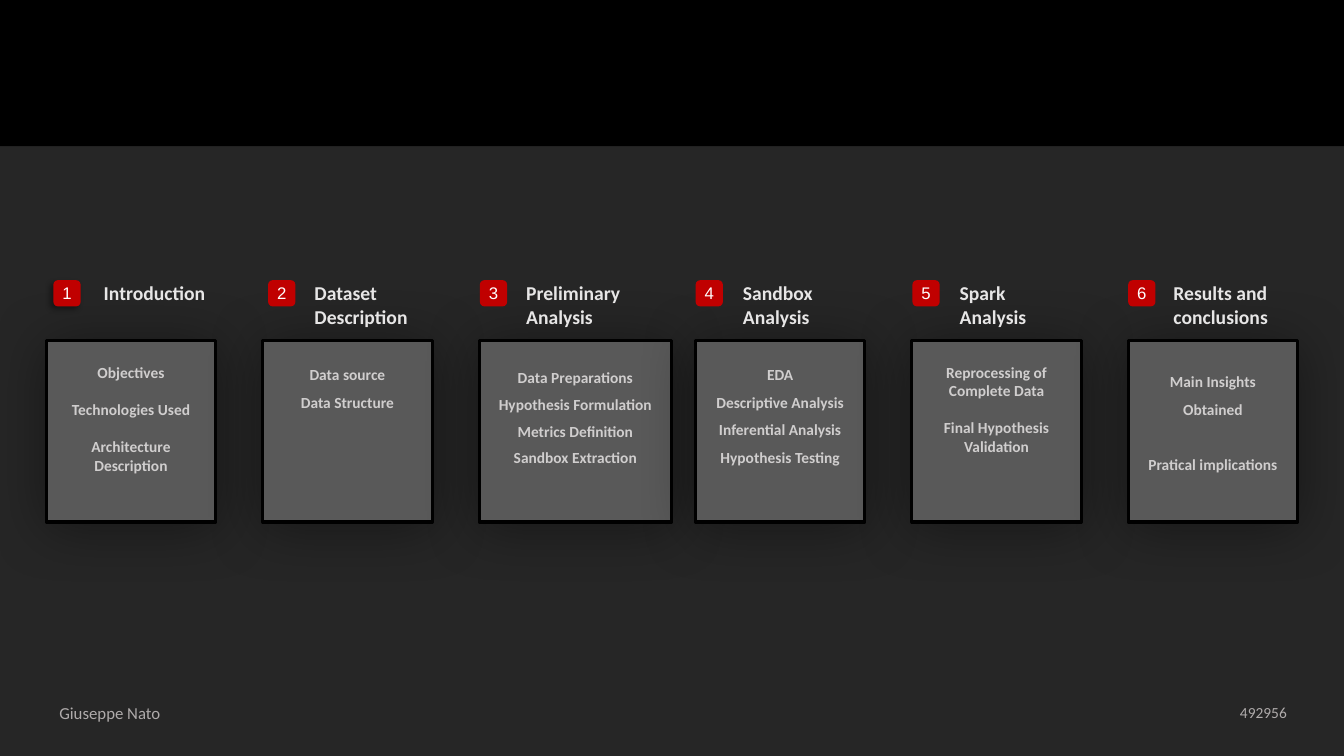
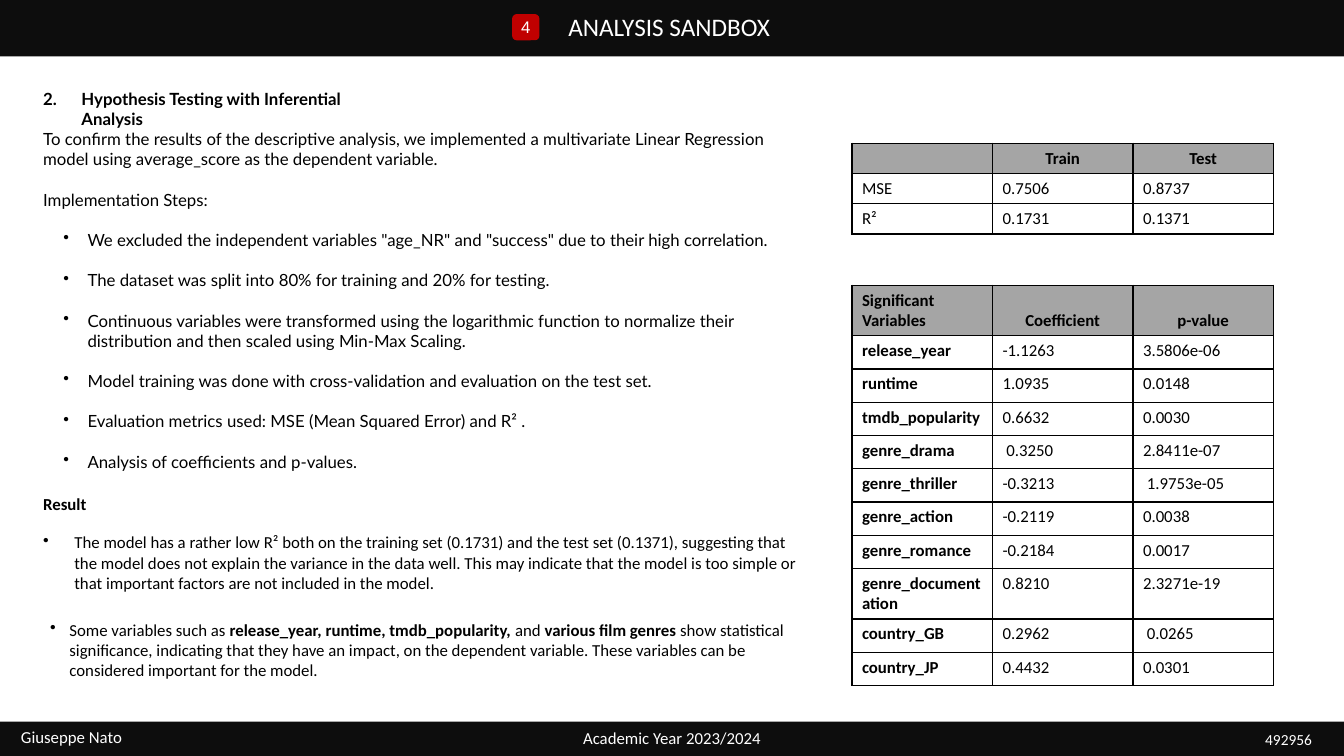
import lxml.etree
import pptx
import pptx.dml.color
import pptx.enum.shapes
import pptx.enum.text
import pptx.oxml.ns
import pptx.util

RECT = pptx.enum.shapes.MSO_SHAPE.RECTANGLE
ROUND = pptx.enum.shapes.MSO_SHAPE.ROUNDED_RECTANGLE
MID = pptx.enum.text.MSO_ANCHOR.MIDDLE
TOP = pptx.enum.text.MSO_ANCHOR.TOP
LOW = pptx.enum.text.MSO_ANCHOR.BOTTOM
LEFT = pptx.enum.text.PP_ALIGN.LEFT
MIDST = pptx.enum.text.PP_ALIGN.CENTER
BLACK, WHITE, RED = "000000", "FFFFFF", "C00000"
DARK, BAND, CARD = "262626", "0D0D0D", "595959"
PALE, SOFT, DIM, HEAD = "E7E6E6", "D0CECE", "AFABAB", "A5A5A5"
DOT = ("a:buChar", {"char": "•"})
SECOND = ("a:buAutoNum", {"type": "arabicPeriod", "startAt": "2"})

qn = pptx.oxml.ns.qn
sub = lxml.etree.SubElement


def hue(code):
    return pptx.dml.color.RGBColor.from_string(code)


def say(text, place, box=None, form=None, size=12, font="Calibri", color=BLACK,
        bold=False, align=LEFT, anchor=None, gap=0, lead=None, pad=None,
        mark=None, hang=0, fill=None, line=None, shade=None):
    host = place
    if box:
        spot = [pptx.util.Inches(side) for side in box]
        host = place.shapes.add_shape(form, *spot) if form else place.shapes.add_textbox(*spot)
    if form:
        host.shadow.inherit = False
        host.line.fill.background()
    if fill:
        host.fill.solid()
        host.fill.fore_color.rgb = hue(fill)
    if line:
        host.line.color.rgb = hue(line)
        host.line.width = pptx.util.Pt(2.25)
    if shade:
        blur, far, turn = shade
        glow = sub(host._element.spPr.find(qn("a:effectLst")), qn("a:outerShdw"),
                   blurRad=str(pptx.util.Pt(blur)), dist=str(pptx.util.Pt(far)),
                   dir=str(turn * 60000), algn="ctr", rotWithShape="0")
        tint = sub(glow, qn("a:srgbClr"), val=BLACK)
        sub(tint, qn("a:alpha"), val="40000")
    frame = host.text_frame
    frame.word_wrap = True
    if anchor is not None:
        frame.vertical_anchor = anchor
    if pad:
        side, top = pad
        frame.margin_left = frame.margin_right = pptx.util.Inches(side)
        frame.margin_top = pptx.util.Inches(top)
        frame.margin_bottom = 0
    for row, words in enumerate([text] if isinstance(text, str) else text):
        para = frame.add_paragraph() if row else frame.paragraphs[0]
        para.alignment = align
        if mark:
            tag, facts = mark
            props = para._p.get_or_add_pPr()
            props.set("marL", str(pptx.util.Inches(hang[0])))
            props.set("indent", str(pptx.util.Inches(-hang[1])))
            sub(props, qn(tag), **facts)
        if row and gap:
            para.space_before = pptx.util.Pt(gap)
        if lead:
            para.line_spacing = lead
        if not words:
            sub(para._p, qn("a:endParaRPr"), sz=str(size * 100))
            continue
        for turn, part in enumerate(words.split("|")):
            run = para.add_run()
            run.text = part
            run.font.size = pptx.util.Pt(size)
            run.font.name = font
            run.font.bold = bold or turn % 2 == 1
            run.font.color.rgb = hue(color)
    return host


deck = pptx.Presentation()
deck.slide_width = pptx.util.Inches(13.33)
deck.slide_height = pptx.util.Inches(7.5)
blank = deck.slide_layouts[6]
plan, test = deck.slides.add_slide(blank), deck.slides.add_slide(blank)

badge = dict(form=ROUND, font="Arial", color=WHITE, align=MIDST, anchor=MID,
             pad=(0, 0), fill=RED)
band = dict(form=RECT, color=WHITE, align=MIDST, anchor=MID, lead=0.9)

for page, back, bands, ink, name, code in [
    (plan, DARK, [("", 0, 1.45, 12, BLACK)], DIM, (0.49, 6.92), (12.2, 6.93)),
    (test, WHITE, [("ANALYSIS SANDBOX ", 0, 0.56, 18, BAND),
                   ("Academic Year 2023/2024", 7.16, 0.34, 12, BAND)],
     WHITE, (0.11, 7.16), (12.45, 7.19)),
]:
    page.background.fill.solid()
    page.background.fill.fore_color.rgb = hue(back)
    for text, top, tall, size, fill in bands:
        say(text, page, (0, top, 13.33, tall), size=size, fill=fill, **band)
    say("Giuseppe Nato", page, (*name, 1.4, 0.3), color=ink)
    say("492956", page, (*code, 0.8, 0.29), size=11, color=ink)

topics = [
    ("Introduction", 0.53, 0.93, 1.68, 0.22, 13.4, 1,
     ["Objectives", "Technologies Used", "Architecture Description"]),
    ("Dataset Description", 2.66, 3.02, 1.68, 0.15, 0, 1.5,
     ["Data source", "Data Structure"]),
    ("Preliminary Analysis", 4.76, 5.12, 1.91, 0.27, 6, 1,
     ["Data Preparations", "Hypothesis Formulation", "Metrics Definition",
      "Sandbox Extraction"]),
    ("Sandbox Analysis", 6.9, 7.27, 1.68, 0.15, 0, 1.5,
     ["EDA", "Descriptive Analysis", "Inferential Analysis", "Hypothesis Testing"]),
    ("Spark Analysis", 9.05, 9.42, 1.68, 0.22, 13.4, 1,
     ["Reprocessing of Complete Data", "Final Hypothesis Validation"]),
    ("Results and conclusions", 11.19, 11.54, 1.68, 0.22, 20, 1.5,
     ["Main Insights Obtained", "Pratical implications"]),
]
step = (11.19 - 0.46) / 5
for spot, (title, left, start, wide, drop, gap, lead, parts) in enumerate(topics):
    say(parts, plan, (0.46 + spot * step, 3.38, wide, 1.8), RECT, size=11,
        color=SOFT, bold=True, align=MIDST, anchor=TOP, gap=gap, lead=lead,
        pad=(0.12, drop), fill=CARD, line=BLACK, shade=(41.9, 3, 90))
    say(title, plan, (start, 2.74, 1.31, 0.57), size=14, color=PALE, bold=True)
    say(str(spot + 1), plan, (left, 2.78, 0.27, 0.26),
        shade=None if spot else (4, 3, 135), **badge)

say("4", test, (5.08, 0.14, 0.27, 0.26), **badge)
say("Hypothesis Testing with Inferential Analysis", test, (0.33, 0.83, 3.61, 0.61),
    font="Lato", bold=True, mark=SECOND, hang=(0.38, 0.38))
say(["To confirm the results of the descriptive analysis, we implemented a multivariate "
     "Linear Regression model using average_score as the dependent variable.",
     "Implementation Steps:"],
    test, (0.33, 1.23, 7.8, 0.9), font="Lato", gap=14.4)
say(['We excluded the independent variables "age_NR" and "success" due to their high correlation.',
     "The dataset was split into 80% for training and 20% for testing.",
     "Continuous variables were transformed using the logarithmic function to normalize "
     "their distribution and then scaled using Min-Max Scaling.",
     "Model training was done with cross-validation and evaluation on the test set.",
     "Evaluation metrics used: MSE (Mean Squared Error) and R² .",
     "Analysis of coefficients and p-values."],
    test, (0.33, 2.23, 7.8, 2.53), font="Lato", gap=14.4, mark=DOT, hang=(0.44, 0.24))
say("Result", test, (0.33, 4.85, 0.9, 0.3), bold=True)
say("The model has a rather low R² both on the training set (0.1731) and the test set "
    "(0.1371), suggesting that the model does not explain the variance in the data well. "
    "This may indicate that the model is too simple or that important factors are not "
    "included in the model.",
    test, (0.33, 5.23, 7.8, 0.71), mark=DOT, hang=(0.31, 0.31))
say("Some variables such as |release_year, runtime, tmdb_popularity, |and "
    "|various film genres |show statistical significance, indicating that they have an "
    "impact, on the dependent variable. These variables can be considered important for "
    "the model.",
    test, (0.4, 6.1, 7.73, 0.71), mark=DOT, hang=(0.19, 0.19))

scores = [
    ("", "Train", "Test"),
    ("MSE", "0.7506", "0.8737"),
    ("R²", "0.1731", "0.1371"),
]
terms = [
    ("Significant Variables", "Coefficient", "p-value"),
    ("release_year", "-1.1263", "3.5806e-06"),
    ("runtime", "1.0935", "0.0148"),
    ("tmdb_popularity", "0.6632", "0.0030"),
    ("genre_drama", " 0.3250", "2.8411e-07"),
    ("genre_thriller", "-0.3213", " 1.9753e-05"),
    ("genre_action", "-0.2119", "0.0038"),
    ("genre_romance", "-0.2184", "0.0017"),
    ("genre_documentation", "0.8210", "2.3271e-19"),
    ("country_GB", "0.2962", " 0.0265"),
    ("country_JP", "0.4432", "0.0301"),
]
for data, top, tall, strong in [(scores, 1.42, 0.29, False), (terms, 2.83, 0.33, True)]:
    spot = [pptx.util.Inches(side) for side in (8.45, top, 4.18, tall * len(data))]
    grid = test.shapes.add_table(len(data), 3, *spot).table
    grid.first_row = grid.horz_banding = False
    for row, items in enumerate(data):
        grid.rows[row].height = pptx.util.Inches(tall)
        for col, text in enumerate(items):
            cell = grid.cell(row, col)
            props = cell._tc.get_or_add_tcPr()
            for edge in ("a:lnL", "a:lnR", "a:lnT", "a:lnB"):
                rule = sub(props, qn(edge), w=str(pptx.util.Pt(1)))
                sub(sub(rule, qn("a:solidFill")), qn("a:srgbClr"), val=BLACK)
            if row == 0:
                cell.vertical_anchor = LOW
            say(text, cell, bold=row == 0 or (strong and col == 0),
                align=MIDST if row == 0 and col else LEFT,
                fill=WHITE if row else HEAD)

deck.save("out.pptx")
